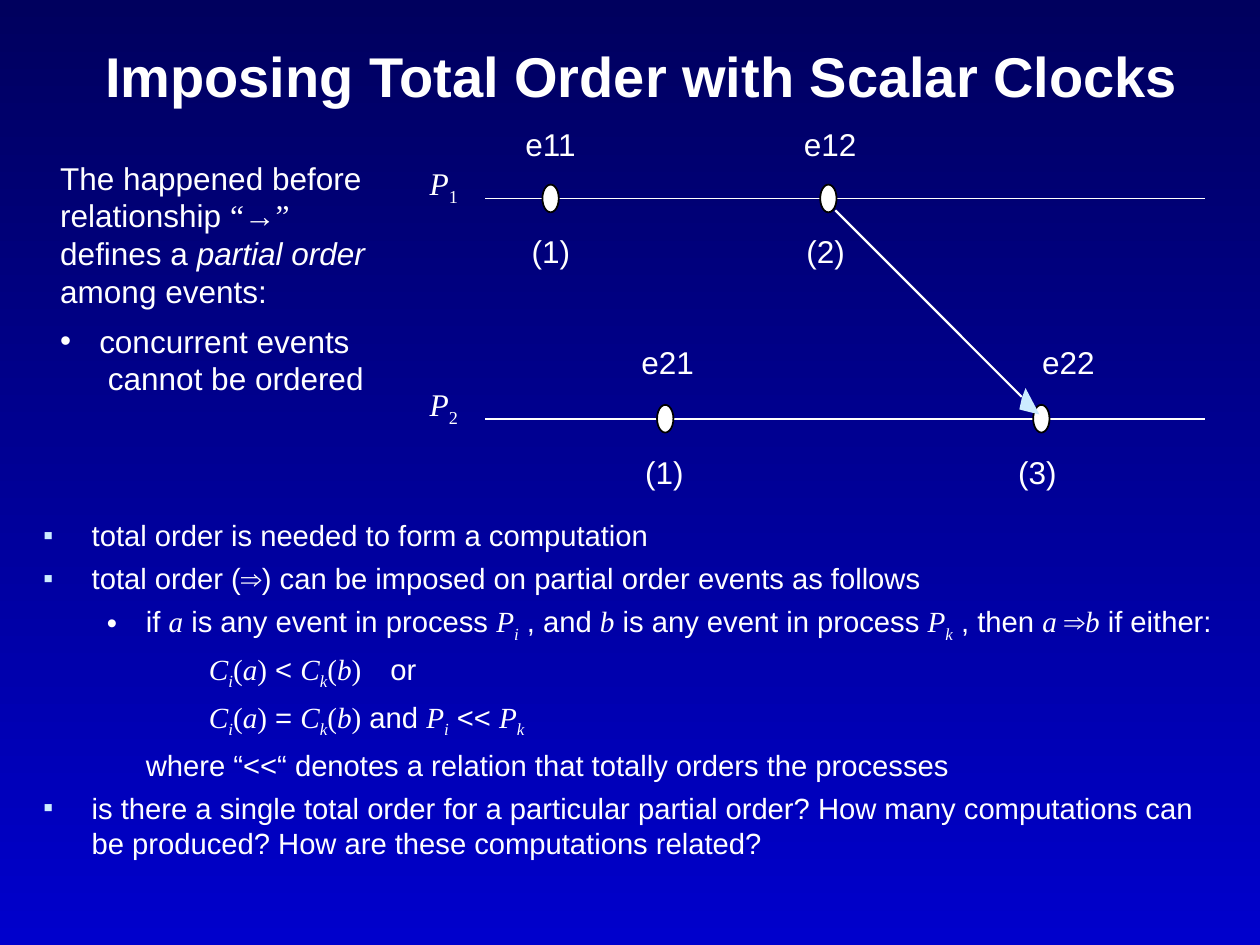
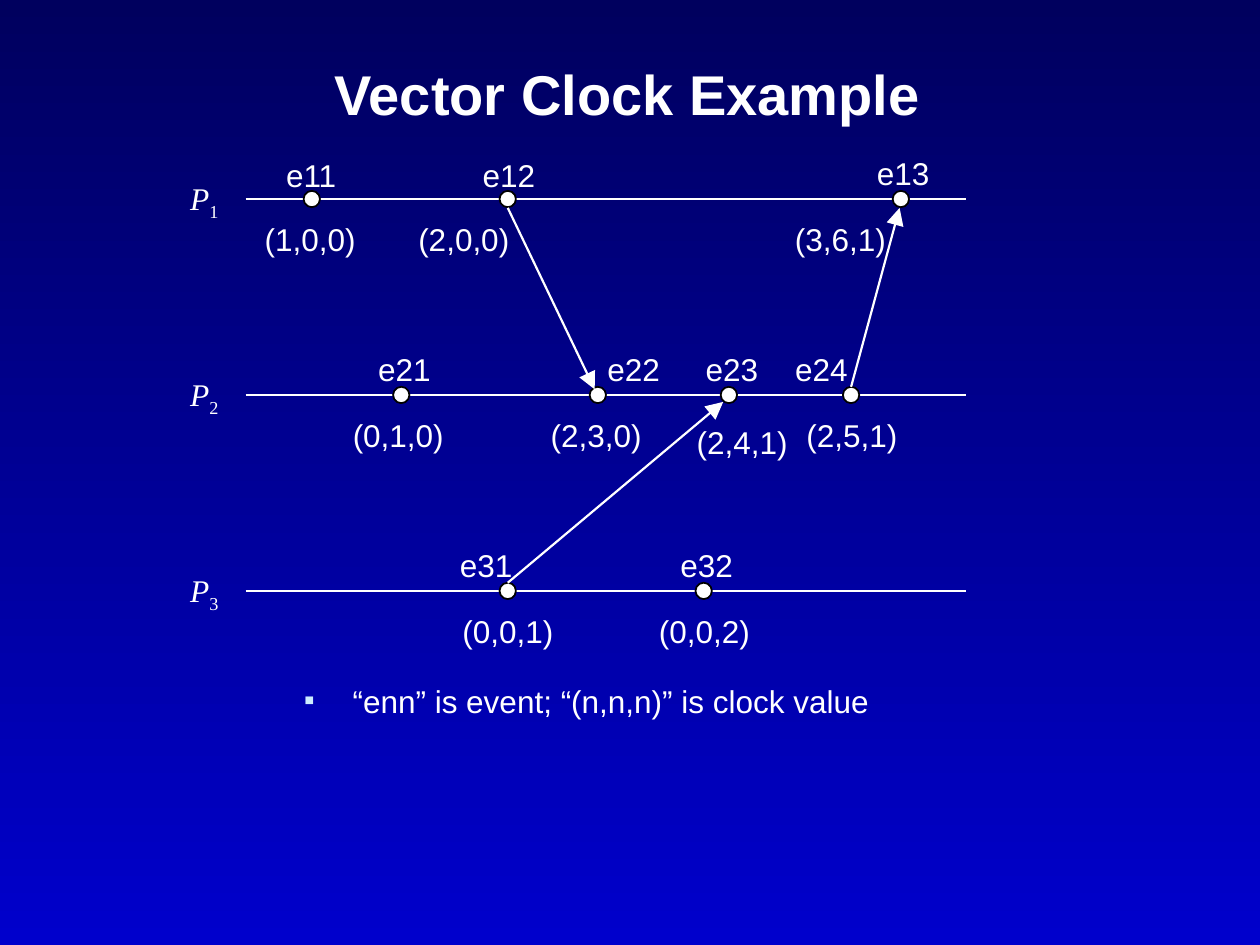
from dataclasses import dataclass, field
from typing import Any, Optional, Union

from lxml.etree import SubElement
from pptx import Presentation
from pptx.dml.color import RGBColor
from pptx.enum.shapes import MSO_CONNECTOR as Link, MSO_SHAPE as Preset
from pptx.enum.text import MSO_ANCHOR as Anchor, PP_ALIGN as Align
from pptx.oxml.ns import qn
from pptx.slide import Slide
from pptx.util import Emu, Inches, Pt

WIDTH, HEIGHT = Inches(10), Inches(7.5)
COLUMNS, ROWS = 100, 75
WHITE, BLACK, ICE = "FFFFFF", "000000", "CCECFF"
NIGHT, ROYAL = "00005E", "0000CC"
SANS, SERIF = "Arial", "Times New Roman"
LABEL_SIZE = 18
NAME_WIDTH, LABEL_WIDTH = 4.2, 2.3
LABEL_HEIGHT = 3
INSET = (1, 0.5)
Point = tuple[float, float]
Box = tuple[float, float, float, float]


@dataclass(frozen=True)
class Run:
    text: str
    format: dict[str, Any] = field(default_factory=dict)
    subscript: bool = False


Runs = list[Union[str, Run]]


@dataclass(frozen=True)
class Para:
    runs: Runs
    margin: float = 0
    indent: float = 0
    bullet: str = ""
    bullet_color: str = WHITE
    bullet_share: int = 100
    tab: Optional[float] = None
    before: float = 4.5
    format: dict[str, Any] = field(default_factory=dict)


@dataclass(frozen=True)
class Event:
    name: str
    clock: str
    x: float
    name_x: float
    clock_x: float
    name_shift: float = 0
    clock_shift: float = 0


@dataclass(frozen=True)
class Process:
    number: str
    y: float
    events: list[Event]


@dataclass(frozen=True)
class Diagram:
    label_x: float
    start: float
    end: float
    dot: Point
    label_rise: float
    name_rise: float
    clock_drop: float
    clock_width: float


@dataclass(frozen=True)
class Message:
    sender: str
    start: Point
    end: Point
    arrow: bool = True


def hue(code: str) -> RGBColor:
    return RGBColor.from_string(code)


def col(count: float) -> Emu:
    return Emu(round(WIDTH * count / COLUMNS))


def row(count: float) -> Emu:
    return Emu(round(HEIGHT * count / ROWS))


def place(box: Box) -> tuple[Emu, Emu, Emu, Emu]:
    left, top, width, height = box
    return col(left), row(top), col(width), row(height)


def apply(target: Any, values: dict[str, Any]) -> None:
    for key, value in values.items():
        setattr(target, key, value)


def math(text: str) -> Run:
    return Run(text, {"name": SERIF, "italic": True})


def serif(text: str) -> Run:
    return Run(text, {"name": SERIF})


def index(text: str, italic: bool = True) -> Run:
    return Run(text, {"name": SERIF, "italic": italic}, True)


def clock_of(process: str, event: str) -> Runs:
    return [math("C"), index(process), serif("("), math(event), serif(")")]


def add_marks(paragraph: Any, para: Para) -> None:
    props = paragraph._p.get_or_add_pPr()
    props.set("marL", str(col(para.margin)))
    props.set("indent", str(col(para.indent)))
    if para.bullet:
        color = SubElement(props, qn("a:buClr"))
        SubElement(color, qn("a:srgbClr"), val=para.bullet_color)
        SubElement(props, qn("a:buSzPct"), val=str(para.bullet_share * 1000))
        SubElement(props, qn("a:buFont"), typeface=SANS)
        SubElement(props, qn("a:buChar"), char=para.bullet)
    if para.tab is not None:
        stops = SubElement(props, qn("a:tabLst"))
        SubElement(stops, qn("a:tab"), pos=str(col(para.tab)), algn="l")


def add_text(slide: Slide, box: Box, paras: list[Para], size: float = LABEL_SIZE,
             inset: Point = (0, 0), wrap: bool = True, anchor: Any = Anchor.TOP) -> None:
    frame = slide.shapes.add_textbox(*place(box)).text_frame
    side, edge = col(inset[0]), row(inset[1])
    apply(frame, {"word_wrap": wrap, "vertical_anchor": anchor, "margin_left": side,
                  "margin_right": side, "margin_top": edge, "margin_bottom": edge})
    for number, para in enumerate(paras):
        paragraph = frame.add_paragraph() if number else frame.paragraphs[0]
        add_marks(paragraph, para)
        apply(paragraph, {"space_before": Pt(para.before if number else 0), **para.format})
        for part in para.runs:
            if part == "\n":
                paragraph.add_line_break()
                continue
            piece = part if isinstance(part, Run) else Run(part)
            run = paragraph.add_run()
            run.text = piece.text
            apply(run.font, {"name": SANS, "size": Pt(size), **piece.format})
            run.font.color.rgb = hue(WHITE)
            if piece.subscript:
                run._r.get_or_add_rPr().set("baseline", "-25000")


def add_label(slide: Slide, x: float, y: float, width: float, runs: Runs) -> None:
    add_text(slide, (x, y, width, LABEL_HEIGHT), [Para(runs)], wrap=False)


def add_line(slide: Slide, start: Point, end: Point, weight: float, arrow: bool = False) -> Any:
    line = slide.shapes.add_connector(
        Link.STRAIGHT, col(start[0]), row(start[1]), col(end[0]), row(end[1]))
    line.line.color.rgb = hue(WHITE)
    line.line.width = Pt(weight)
    if arrow:
        SubElement(line.line._get_or_add_ln(), qn("a:tailEnd"),
                   type="triangle", w="lg", len="lg")
    SubElement(line._element.spPr, qn("a:effectLst"))
    return line


def add_dot(slide: Slide, x: float, y: float, size: Point) -> Any:
    width, height = size
    dot = slide.shapes.add_shape(
        Preset.OVAL, *place((x - width / 2, y - height / 2, width, height)))
    dot.shadow.inherit = False
    dot.fill.solid()
    dot.fill.fore_color.rgb = hue(WHITE)
    dot.line.color.rgb = hue(BLACK)
    dot.line.width = Pt(1)
    return dot


def add_diagram(slide: Slide, plan: Diagram, processes: list[Process],
                messages: list[Message]) -> None:
    dots = {}
    for process in processes:
        y = process.y
        add_line(slide, (plan.start, y), (plan.end, y), 1)
        add_label(slide, plan.label_x, y - plan.label_rise, LABEL_WIDTH,
                  [math("P"), index(process.number, italic=False)])
        for event in process.events:
            dots[event.name] = add_dot(slide, event.x, y, plan.dot)
            add_label(slide, event.name_x, y - plan.name_rise + event.name_shift,
                      NAME_WIDTH, [event.name])
            add_label(slide, event.clock_x, y + plan.clock_drop + event.clock_shift,
                      plan.clock_width, [event.clock])
    for message in messages:
        line = add_line(slide, message.start, message.end, 1.25, message.arrow)
        if message.end[1] < message.start[1]:
            line.begin_connect(dots[message.sender], 0)


def add_arrowhead(slide: Slide, outline: list[Point]) -> None:
    first, *rest = [(col(x), row(y)) for x, y in outline]
    builder = slide.shapes.build_freeform(*first)
    builder.add_line_segments(rest, close=True)
    head = builder.convert_to_shape()
    head.shadow.inherit = False
    head.fill.solid()
    head.fill.fore_color.rgb = hue(ICE)
    head.line.fill.background()


def add_slide(deck: Any, title: str, title_box: Box) -> Slide:
    slide = deck.slides.add_slide(deck.slide_layouts[6])
    fill = slide.background.fill
    fill.gradient()
    fill.gradient_angle = 270
    for stop, color in zip(fill.gradient_stops, (NIGHT, ROYAL)):
        stop.color.rgb = hue(color)
    heading = Para([Run(title, {"bold": True})],
                   format={"alignment": Align.CENTER, "line_spacing": 0.9})
    add_text(slide, title_box, [heading], 32, INSET, anchor=Anchor.MIDDLE)
    return slide


def point(*runs: Union[str, Run]) -> Para:
    return Para(list(runs), 3.8, -3.8, "■", ICE, 50)


def build_scalar(deck: Any) -> None:
    slide = add_slide(deck, "Imposing Total Order with Scalar Clocks", (5.2, 3, 91.5, 6.6))
    condition = {"margin": 12.5, "indent": 0.6, "tab": 32.5}
    add_text(slide, (2.5, 40.6, 95.4, 31.6), [
        point("total order is needed to form a computation"),
        point("total order (⇒) can be imposed on partial order events as follows"),
        Para(["if ", math("a"), " is any event in process ", math("P"), index("i"),
              " , and ", math("b"), " is any event in process ", math("P"), index("k"),
              " , then ", math("a "), "⇒", math("b"), " if either:"], 8.1, -3.1, "•"),
        Para([*clock_of("i", "a"), " < ", *clock_of("k", "b"), "\tor"], **condition),
        Para([*clock_of("i", "a"), " = ", *clock_of("k", "b"), " and ",
              math("P"), index("i"), " << ", math("P"), index("k")], **condition),
        Para(["where “<<“ denotes a relation that totally orders the processes"], 8.1),
        point("is there a single total order for a particular partial order? "
              "How many computations can be produced? How are these computations related?"),
    ], 16.7, INSET)
    add_text(slide, (3.8, 12.1, 28.4, 23), [
        Para(["The happened before relationship ", serif("“"), "→", serif("” "), "defines a ",
              Run("partial order ", {"italic": True}), "among events:"]),
        Para(["concurrent events", "\n", " cannot be ordered"], 3.1, -3.1, "•", before=6.8),
    ], inset=INSET)
    plan = Diagram(label_x=34.1, start=38.5, end=95.6, dot=(1.3, 2.2), label_rise=2.7,
                   name_rise=5.8, clock_drop=2.7, clock_width=3.2)
    add_diagram(slide, plan, [
        Process("1", 15.75, [Event("e11", "(1)", 43.7, 41.7, 42.2),
                             Event("e12", "(2)", 65.75, 63.8, 64)]),
        Process("2", 33.23, [Event("e21", "(1)", 52.8, 50.9, 51.2, -0.2),
                             Event("e22", "(3)", 82.65, 82.7, 80.8, -0.2)]),
    ], [Message("e12", (66.3, 16.7), (81.1, 31.5), arrow=False)])
    add_arrowhead(slide, [(80.9, 32.5), (81.1, 31.6), (81.4, 30.8), (82.5, 32.9)])


def build_vector(deck: Any) -> None:
    slide = add_slide(deck, "Vector Clock Example", (13.7, 3, 72.2, 9.5))
    add_text(slide, (23.2, 53.6, 55, 17.1),
             [point("“enn” is event; “(n,n,n)” is clock value")], inset=INSET)
    plan = Diagram(label_x=15.1, start=19.5, end=76.7, dot=(1.3, 1.3), label_rise=1.57,
                   name_rise=3.55, clock_drop=1.65, clock_width=7.4)
    first_y, gap = 15.8, 15.55
    lanes = [
        [Event("e11", "(1,0,0)", 24.75, 22.7, 21, 0.15),
         Event("e12", "(2,0,0)", 40.3, 38.3, 33.2, 0.15),
         Event("e13", "(3,6,1)", 71.5, 69.6, 63.1)],
        [Event("e21", "(0,1,0)", 31.85, 30, 28),
         Event("e22", "(2,3,0)", 47.45, 48.2, 43.7),
         Event("e23", "(2,4,1)", 57.85, 56, 55.3, clock_shift=0.6),
         Event("e24", "(2,5,1)", 67.55, 63.1, 64)],
        [Event("e31", "(0,0,1)", 40.3, 36.5, 36.7),
         Event("e32", "(0,0,2)", 55.85, 54, 52.3)],
    ]
    processes = [Process(str(number + 1), first_y + number * gap, events)
                 for number, events in enumerate(lanes)]
    add_diagram(slide, plan, processes, [
        Message("e12", (40.3, 16.5), (47.2, 30.9)),
        Message("e31", (40.3, 46.2), (57.4, 31.9)),
        Message("e24", (67.7, 30.6), (71.4, 16.5)),
    ])


def main() -> None:
    deck = Presentation()
    apply(deck, {"slide_width": WIDTH, "slide_height": HEIGHT})
    build_scalar(deck)
    build_vector(deck)
    deck.save("out.pptx")


if __name__ == "__main__":
    main()
